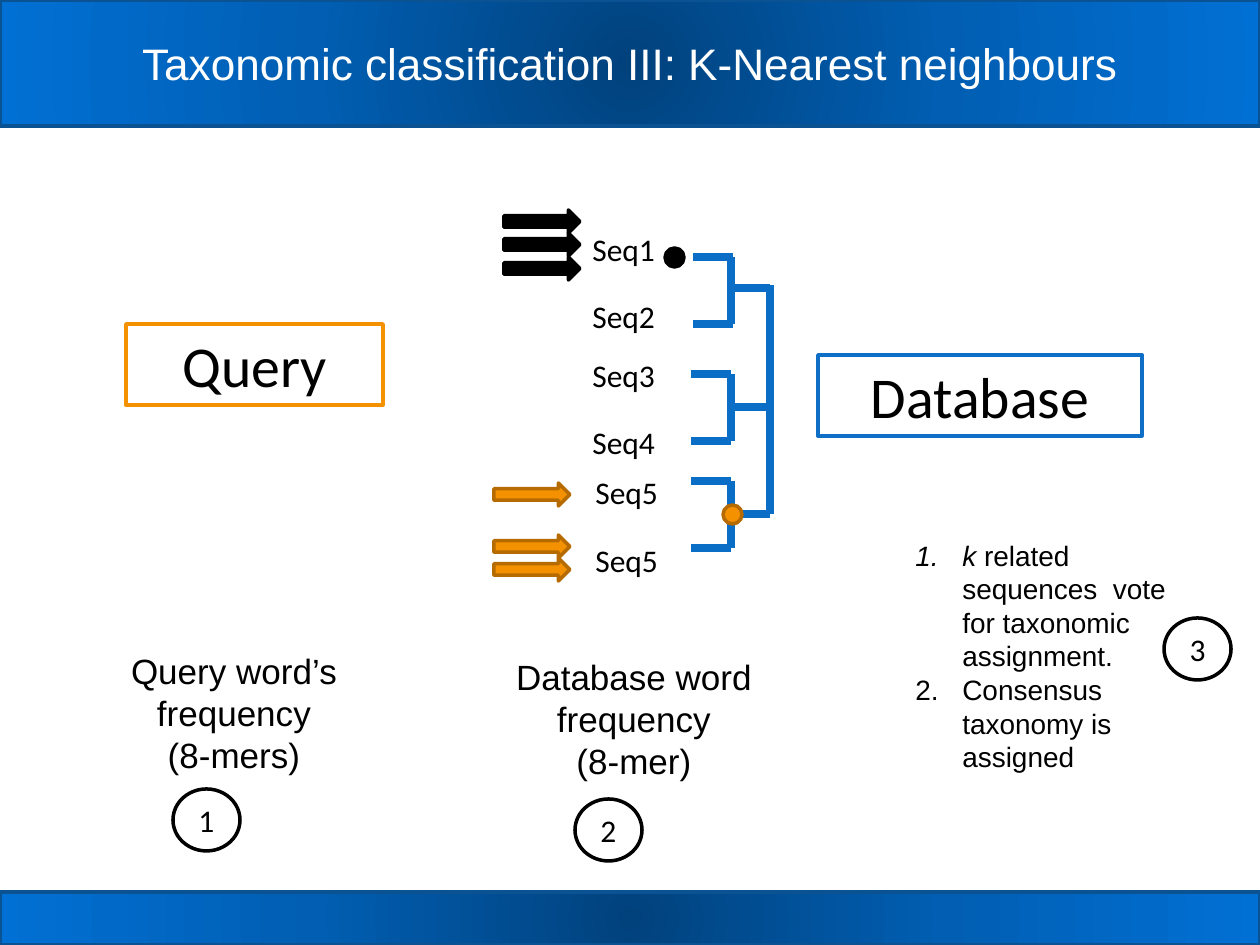
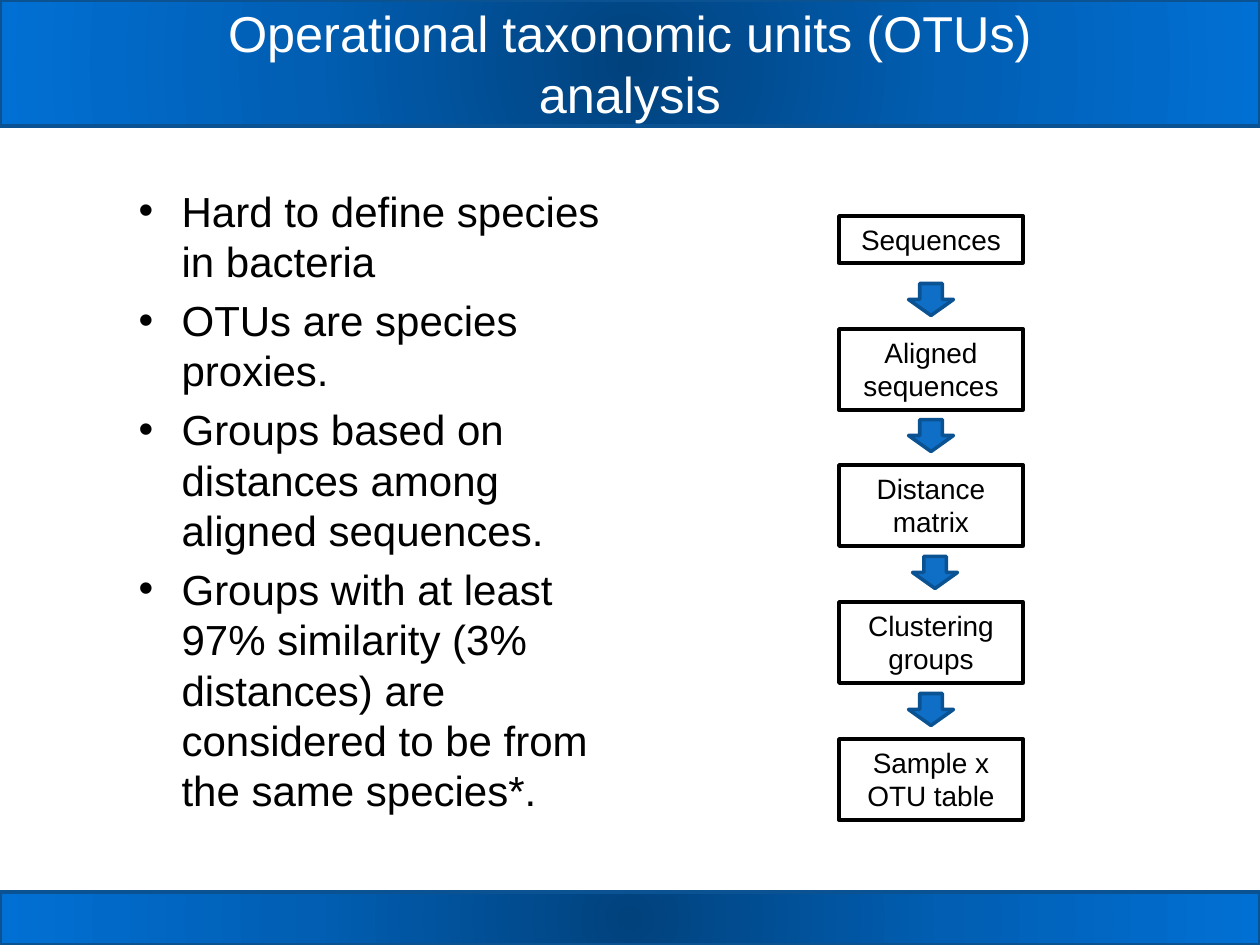
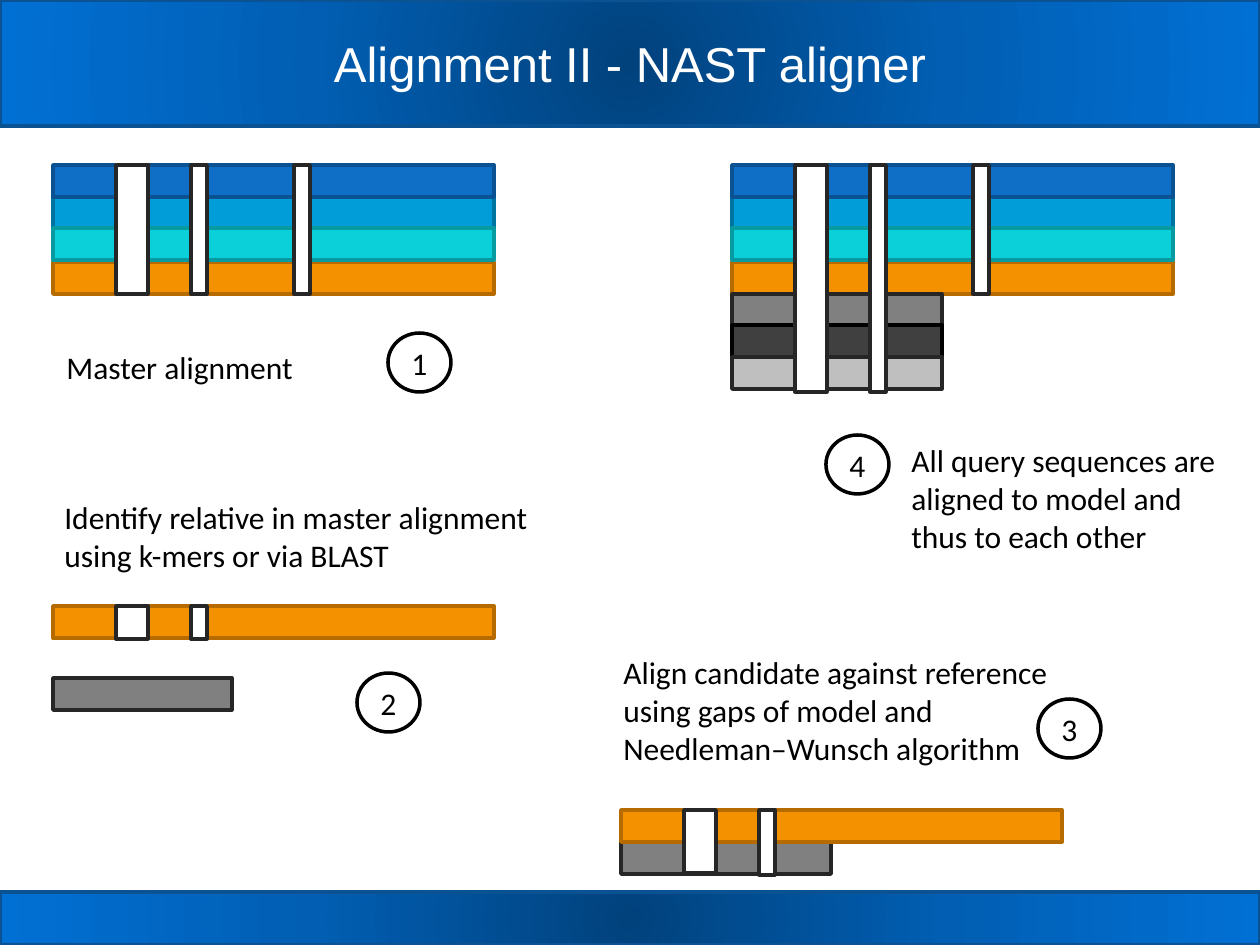
from dataclasses import dataclass
from pptx import Presentation
from pptx import util as u
from pptx.dml.color import RGBColor
from pptx.enum import shapes, text
from pptx.oxml import parse_xml
from pptx.oxml.ns import nsdecls, qn


@dataclass(frozen=True)
class Theme:
    black: str = "000000"
    white: str = "FFFFFF"
    tree: str = "0A6DC6"
    blue: tuple = ("0F6FC6", "0B5292")
    sky: tuple = ("009DD9", "0074A1")
    aqua: tuple = ("0BD0D9", "089AA1")
    amber: tuple = ("F49100", "B56B00")
    gray: tuple = ("808080", "262626")
    dark: tuple = ("404040", "000000")
    pale: tuple = ("BFBFBF", "262626")
    ink: tuple = ("000000", "000000")
    frame: tuple = ("FFFFFF", "000000")
    gap: tuple = ("FFFFFF", "262626")
    band: tuple = ((0, "01427D"), (50, "015EB2"), (100, "0170D4"))
    head: str = "Arial"
    body: str = "Calibri"
    small: int = 16
    label: int = 18
    note: int = 20
    list: int = 24
    big: int = 33
    edge: float = 2
    branch: float = 4.5


T = Theme()
KIND = shapes.MSO_SHAPE
ALIGN = text.PP_ALIGN
FIT = text.MSO_AUTO_SIZE
WIDE, HIGH = 1260, 945

BANDS = [(0, 126), (892, 53)]

KNN = {
    "title": ("Taxonomic classification III: K-Nearest neighbours", 25.2),
    "notes": [
        ((94, 643, 280, 139), ["Query word’s frequency", "(8-mers)"]),
        ((494, 649, 280, 139), ["Database word frequency", "(8-mer)"]),
    ],
    "tags": [
        ("Query", (126, 324, 257, 81), T.amber[0]),
        ("Database", (818, 355, 324, 81), T.blue[0]),
    ],
    "pairs": [(693, 257, 288), (691, 374, 407), (691, 481, 514)],
    "trunk": (770, 285, 514),
    "seqs": [("Seq1", 580, 224), ("Seq2", 580, 291), ("Seq3", 580, 350),
             ("Seq4", 580, 417), ("Seq5", 583, 467), ("Seq5", 583, 535)],
    "arrows": [(504, (210, 233, 257), T.ink), (494, (483, 535, 558), T.amber)],
    "dots": [(665, 248, T.ink), (723, 505, T.amber)],
    "steps": [(173, 789), (575, 799), (1164, 618)],
    "votes": [
        [("k", True), (" related sequences  vote for taxonomic assignment.", False)],
        [("Consensus taxonomy is assigned", False)],
    ],
}

OTU = {
    "title": ("Operational taxonomic units (OTUs) analysis", 28.8),
    "points": [
        "Hard to define species in bacteria",
        "OTUs are species proxies.",
        "Groups based on distances among aligned sequences.",
        "Groups with at least 97% similarity (3% distances) are considered "
        "to be from the same species*.",
    ],
    "first": "Sequences",
    "flow": [(["Aligned sequences"], 915), (["Distance", "matrix"], 915),
             (["Clustering groups"], 919), (["Sample x OTU table"], 915)],
}

STACK = [(T.amber, 262, 441), (T.sky, 197, 441), (T.aqua, 228, 441), (T.blue, 165, 441)]
GAPS = [(63, 32), (138, 16), (241, 16)]
NAST = {
    "title": ("Alignment II - NAST aligner", 28),
    "panels": [
        (53, STACK, 165, (129, 129, 129)),
        (621, [(T.gray, 842, 210), (T.amber, 810, 441)], 810, (63, 65)),
        (53, [(T.gray, 678, 179), (T.amber, 606, 441)], 606, (33, 33)),
        (732, STACK + [(T.gray, 294, 210), (T.dark, 325, 210), (T.pale, 357, 210)],
         165, (227, 227, 129)),
    ],
    "notes": [
        ((54, 342, 255, 50), ["Master alignment"]),
        ((52, 492, 494, 89),
         ["Identify relative in master alignment", "using k-mers or via BLAST"]),
        ((611, 647, 455, 165),
         ["Align candidate against reference", "using gaps of model and",
          "Needleman–Wunsch algorithm"]),
        ((899, 435, 340, 127),
         ["All query sequences are", "aligned to model and", "thus to each other"]),
    ],
    "steps": [(388, 333), (357, 673), (1038, 699), (826, 435)],
}


def px(n):
    return u.Emu(round(n * 914400 / 126))


def rgb(code):
    return RGBColor.from_string(code)


def place(shape, box):
    shape.left, shape.top, shape.width, shape.height = map(px, box)


def style(run, size, face, color=T.black, slant=None):
    run.font.size = u.Pt(size)
    run.font.name = face
    run.font.color.rgb = rgb(color)
    run.font.italic = slant


def write(shape, lines, size, face, color=T.black, align=None):
    frame = shape.text_frame
    frame.text = "\n".join(lines)
    frame.word_wrap = True
    for para in frame.paragraphs:
        para.alignment = align
        for run in para.runs:
            style(run, size, face, color)
    return frame


def draw(slide, kind, box, look):
    shape = slide.shapes.add_shape(kind, *map(px, box))
    shape.shadow.inherit = False
    shape.fill.solid()
    shape.fill.fore_color.rgb = rgb(look[0])
    shape.line.color.rgb = rgb(look[1])
    shape.line.width = u.Pt(T.edge)
    return shape


def label(slide, box, lines, size, face, align=None, wrap=True):
    shape = slide.shapes.add_textbox(*map(px, box))
    frame = write(shape, lines, size, face, align=align)
    frame.word_wrap = wrap
    frame.auto_size = FIT.SHAPE_TO_FIT_TEXT


def frame_box(slide, box, lines, size, face, edge=T.black):
    shape = draw(slide, KIND.RECTANGLE, box, (T.white, edge))
    frame = write(shape, lines, size, face, align=ALIGN.CENTER)
    frame.vertical_anchor = text.MSO_ANCHOR.TOP
    frame.auto_size = FIT.SHAPE_TO_FIT_TEXT


def badge(slide, num, spot, size):
    shape = draw(slide, KIND.OVAL, (*spot, *size), T.frame)
    write(shape, [str(num)], T.label, T.body, align=ALIGN.CENTER)


def branch(slide, x1, y1, x2, y2):
    line = slide.shapes.add_connector(
        shapes.MSO_CONNECTOR.STRAIGHT, *map(px, (x1, y1, x2, y2)))
    line.line.color.rgb = rgb(T.tree)
    line.line.width = u.Pt(T.branch)
    line.element.spPr.append(parse_xml(f"<a:effectLst {nsdecls('a')}/>"))


def add_bands(deck, slide):
    stops = "".join(
        f'<a:gs pos="{pos * 1000}"><a:srgbClr val="{code}"/></a:gs>'
        for pos, code in T.band)
    mid = " ".join(f'{side}="50000"' for side in "ltrb")
    fill = (f'<a:gradFill {nsdecls("a")} rotWithShape="1"><a:gsLst>{stops}</a:gsLst>'
            f'<a:path path="circle"><a:fillToRect {mid}/></a:path></a:gradFill>')
    for i, (top, high) in enumerate(BANDS):
        band = draw(slide, KIND.RECTANGLE, (0, top, WIDE, high), T.blue)
        props = band.element.spPr
        props.replace(props.find(qn("a:solidFill")), parse_xml(fill))
        band.element.nvSpPr.cNvPr.id = 100 + i
        deck.slide_master.shapes.element.insert(2 + i, band.element)


def start(deck, data, layout=5):
    slide = deck.slides.add_slide(deck.slide_layouts[layout])
    name, size = data["title"]
    title = slide.shapes.title
    place(title, (126, 0, 1008, 126))
    frame = write(title, [name], size, T.head, T.white, ALIGN.CENTER)
    frame.vertical_anchor = text.MSO_ANCHOR.MIDDLE
    frame.auto_size = FIT.NONE
    return slide


def add_votes(slide, items):
    shape = slide.shapes.add_textbox(*map(px, (903, 532, 294, 251)))
    frame = shape.text_frame
    frame.word_wrap = True
    frame.auto_size = FIT.SHAPE_TO_FIT_TEXT
    for i, parts in enumerate(items):
        para = frame.add_paragraph() if i else frame.paragraphs[0]
        for words, slant in parts:
            run = para.add_run()
            run.text = words
            style(run, T.small, T.head, slant=slant)
        props = para._p.get_or_add_pPr()
        props.set("marL", str(px(47)))
        props.set("indent", str(-px(47)))
        props.append(parse_xml(f'<a:buFont {nsdecls("a")} typeface="+mj-lt"/>'))
        props.append(parse_xml(f'<a:buAutoNum {nsdecls("a")} type="arabicPeriod"/>'))


def build_knn(deck):
    slide = start(deck, KNN)
    add_bands(deck, slide)
    for box, lines in KNN["notes"]:
        label(slide, box, lines, T.note, T.head, ALIGN.CENTER)
    for name, box, edge in KNN["tags"]:
        frame_box(slide, box, [name], T.big, T.body, edge)
    trunk, top, end = KNN["trunk"]
    branch(slide, trunk, top, trunk, end)
    for left, top, joint in KNN["pairs"]:
        low = top + 67
        branch(slide, 731, top, 731, low)
        branch(slide, 731, joint, trunk, joint)
        for y in (top, low):
            branch(slide, left, y, left + 40, y)
    for name, left, top in KNN["seqs"]:
        label(slide, (left, top, 111, 50), [name], T.label, T.body)
    for left, tops, look in KNN["arrows"]:
        for top in tops:
            draw(slide, KIND.RIGHT_ARROW, (left, top, 76, 23), look)
    for left, top, look in KNN["dots"]:
        draw(slide, KIND.OVAL, (left, top, 19, 19), look)
    add_votes(slide, KNN["votes"])
    for num, spot in enumerate(KNN["steps"], 1):
        badge(slide, num, spot, (67, 62))


def build_otu(deck):
    slide = start(deck, OTU, 1)
    body = slide.placeholders[1]
    place(body, (126, 179, 489, 672))
    frame = write(body, OTU["points"], T.list, T.head)
    frame.auto_size = FIT.NONE
    for para in frame.paragraphs:
        props = para._p.get_or_add_pPr()
        props.set("marL", str(px(43)))
        props.set("indent", str(-px(43)))
    frame_box(slide, (839, 216, 184, 47), [OTU["first"]], T.small, T.head)
    for i, (lines, left) in enumerate(OTU["flow"]):
        top = 329 + round(136.5 * i)
        frame_box(slide, (839, top, 184, 81), lines, T.small, T.head)
        arrow = draw(slide, KIND.RIGHT_ARROW, (left, top - 52, 32, 45), T.blue)
        arrow.rotation = 90


def build_nast(deck):
    slide = start(deck, NAST)
    for left, bars, top, highs in NAST["panels"]:
        for look, y, wide in bars:
            draw(slide, KIND.RECTANGLE, (left, y, wide, 32), look)
        for (shift, wide), high in zip(GAPS, highs):
            draw(slide, KIND.RECTANGLE, (left + shift, top, wide, high), T.gap)
    for box, lines in NAST["notes"]:
        label(slide, box, lines, T.label, T.body, wrap=False)
    for num, spot in enumerate(NAST["steps"], 1):
        badge(slide, num, spot, (63, 59))


def main():
    deck = Presentation()
    deck.slide_width, deck.slide_height = px(WIDE), px(HIGH)
    for build in (build_knn, build_otu, build_nast):
        build(deck)
    deck.save("out.pptx")


if __name__ == "__main__":
    main()
